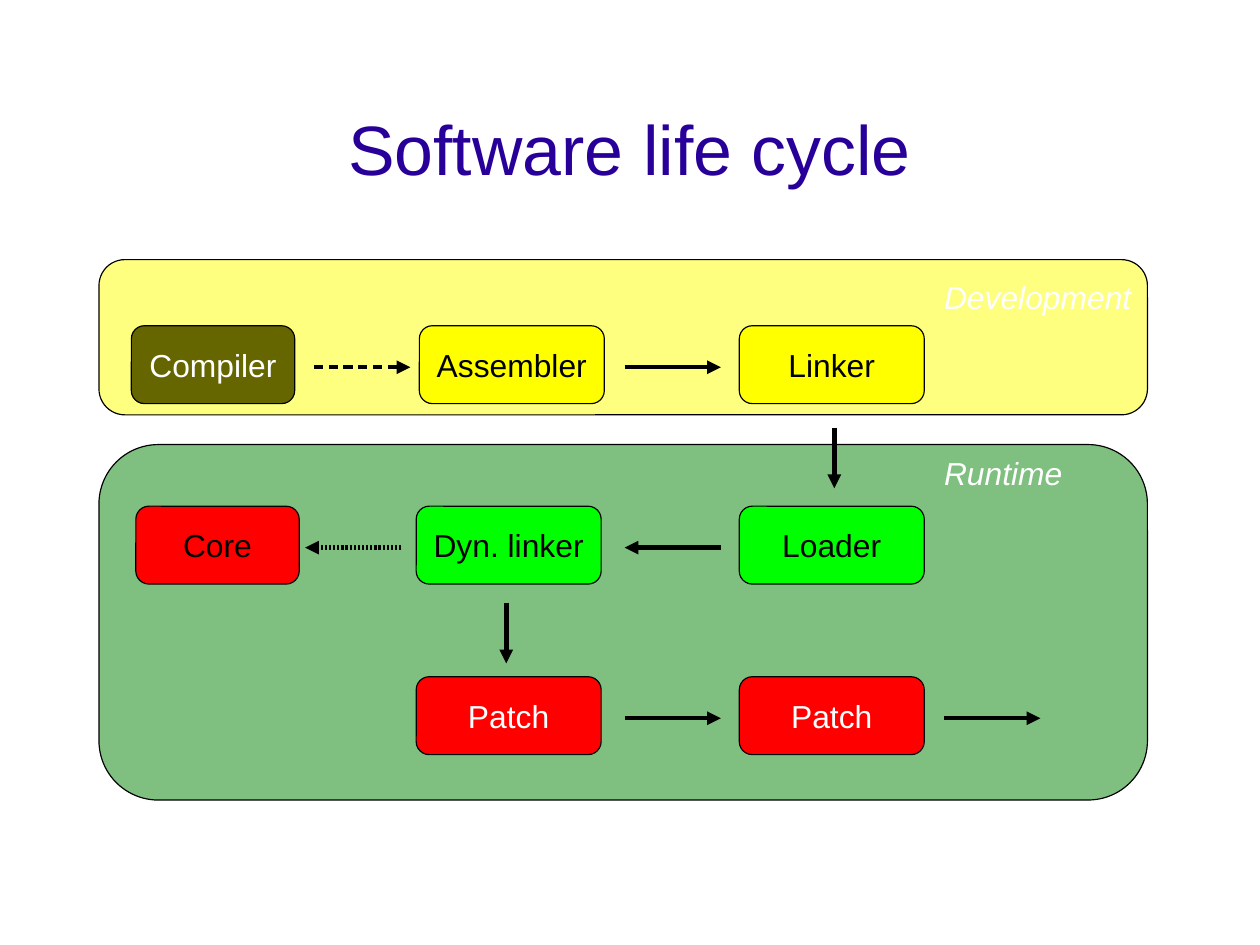
from lxml import etree
from pptx import Presentation
from pptx.dml.color import RGBColor
from pptx.enum.shapes import MSO_CONNECTOR, MSO_SHAPE
from pptx.enum.text import MSO_ANCHOR, MSO_AUTO_SIZE, PP_ALIGN
from pptx.oxml.ns import qn
from pptx.util import Cm, Pt

ROUNDED = MSO_SHAPE.ROUNDED_RECTANGLE
STRAIGHT = MSO_CONNECTOR.STRAIGHT
MIDDLE = MSO_ANCHOR.MIDDLE
NO_AUTOFIT = MSO_AUTO_SIZE.NONE
LEFT, CENTER = PP_ALIGN.LEFT, PP_ALIGN.CENTER

FONT = "Arial"
COLORS = {
    "title": "280099",
    "black": "000000",
    "white": "FFFFFF",
    "yellow": "FFFF00",
    "olive": "666600",
    "lime": "00FF00",
    "green": "008000",
    "red": "FF0000",
}
DASHED, DOTTED = (200000, 120000), (50000, 40000)

ZONE_LEFT, ZONE_WIDTH = 2.2, 23.3
DEVELOPMENT_ROW, RUNTIME_ROW, PATCH_ROW = 7.24, 11.25, 15.04
MIDDLE_COLUMN, RIGHT_COLUMN = 9.25, 16.43
NARROW, WIDE, BOX_HEIGHT = 3.63, 4.11, 1.73
ARROW_OFFSET, ACROSS, DOWN = 0.92, 2.14, 1.35
GAP_LEFT, GAP_RIGHT = 13.88, 16.02


def rgb(name):
    return RGBColor.from_string(COLORS[name])


class Diagram:
    """Draws the styled elements of a flow diagram on one slide."""

    def __init__(self, slide):
        self.slide = slide

    def set_text(self, shape, text, color, align, size=20, italic=False):
        shape.text_frame.text = text
        para = shape.text_frame.paragraphs[0]
        para.alignment = align
        para.font.name = FONT
        para.font.size = Pt(size)
        para.font.italic = italic
        para.font.color.rgb = rgb(color)

    def title(self, text):
        title = self.slide.shapes.title
        title.left, title.top = Cm(2), Cm(1.65)
        title.width, title.height = Cm(24), Cm(3.25)
        frame = title.text_frame
        frame.auto_size = NO_AUTOFIT
        frame.vertical_anchor = MIDDLE
        frame.margin_left = frame.margin_right = 0
        frame.margin_top = frame.margin_bottom = 0
        self.set_text(title, text, "title", CENTER, size=44)

    def rounded(self, left, top, width, height, fill):
        shape = self.slide.shapes.add_shape(
            ROUNDED, Cm(left), Cm(top), Cm(width), Cm(height))
        shape.adjustments[0] = 0.167
        shape.shadow.inherit = False
        shape.fill.solid()
        shape.fill.fore_color.rgb = rgb(fill)
        shape.line.color.rgb = rgb("black")
        shape.line.width = Pt(0)
        return shape

    def zone(self, top, height, fill):
        zone = self.rounded(ZONE_LEFT, top, ZONE_WIDTH, height, fill)
        color = zone.element.spPr.find(qn("a:solidFill"))[0]
        etree.SubElement(color, qn("a:alpha"), val="50000")

    def box(self, text, left, top, width, fill, color):
        box = self.rounded(left, top, width, BOX_HEIGHT, fill)
        box.text_frame.word_wrap = False
        box.text_frame.vertical_anchor = MIDDLE
        self.set_text(box, text, color, CENTER)

    def label(self, text, top):
        label = self.slide.shapes.add_textbox(
            Cm(20.73), Cm(top), Cm(4.95), Cm(1.22))
        label.text_frame.word_wrap = True
        self.set_text(label, text, "white", LEFT, italic=True)

    def arrow(self, left, top, across=0, down=0, dash=None):
        arrow = self.slide.shapes.add_connector(
            STRAIGHT, Cm(left), Cm(top), Cm(left + across), Cm(top + down))
        arrow.line.color.rgb = rgb("black")
        arrow.line.width = Pt(2.89)
        properties = arrow.element.spPr
        line = properties.find(qn("a:ln"))
        if dash:
            pattern = etree.SubElement(line, qn("a:custDash"))
            length, space = dash
            etree.SubElement(pattern, qn("a:ds"), d=str(length), sp=str(space))
        etree.SubElement(line, qn("a:tailEnd"), type="triangle")
        etree.SubElement(properties, qn("a:effectLst"))


def main():
    deck = Presentation()
    deck.slide_width, deck.slide_height = Cm(28), Cm(21)
    diagram = Diagram(deck.slides.add_slide(deck.slide_layouts[5]))

    diagram.title("Software life cycle")
    diagram.zone(9.88, 7.9, "green")
    diagram.zone(5.77, 3.45, "yellow")
    diagram.label("Development", 6.05)
    diagram.label("Runtime", 9.96)

    for box in (
        ("Compiler", 2.92, DEVELOPMENT_ROW, NARROW, "olive", "white"),
        ("Assembler", 9.32, DEVELOPMENT_ROW, WIDE, "yellow", "black"),
        ("Linker", RIGHT_COLUMN, DEVELOPMENT_ROW, WIDE, "yellow", "black"),
        ("Loader", RIGHT_COLUMN, RUNTIME_ROW, WIDE, "lime", "black"),
        ("Dyn. linker", MIDDLE_COLUMN, RUNTIME_ROW, WIDE, "lime", "black"),
        ("Core", 3.02, RUNTIME_ROW, NARROW, "red", "black"),
        ("Patch", MIDDLE_COLUMN, PATCH_ROW, WIDE, "red", "white"),
        ("Patch", RIGHT_COLUMN, PATCH_ROW, WIDE, "red", "white"),
    ):
        diagram.box(*box)

    for left, row, across, dash in (
        (6.98, DEVELOPMENT_ROW, ACROSS, DASHED),
        (GAP_LEFT, DEVELOPMENT_ROW, ACROSS, None),
        (GAP_RIGHT, RUNTIME_ROW, -ACROSS, None),
        (8.92, RUNTIME_ROW, -ACROSS, DOTTED),
        (GAP_LEFT, PATCH_ROW, ACROSS, None),
        (20.98, PATCH_ROW, ACROSS, None),
    ):
        diagram.arrow(left, row + ARROW_OFFSET, across=across, dash=dash)

    diagram.arrow(18.54, 9.5, down=DOWN)
    diagram.arrow(11.25, 13.39, down=DOWN)

    deck.save("out.pptx")


if __name__ == "__main__":
    main()
